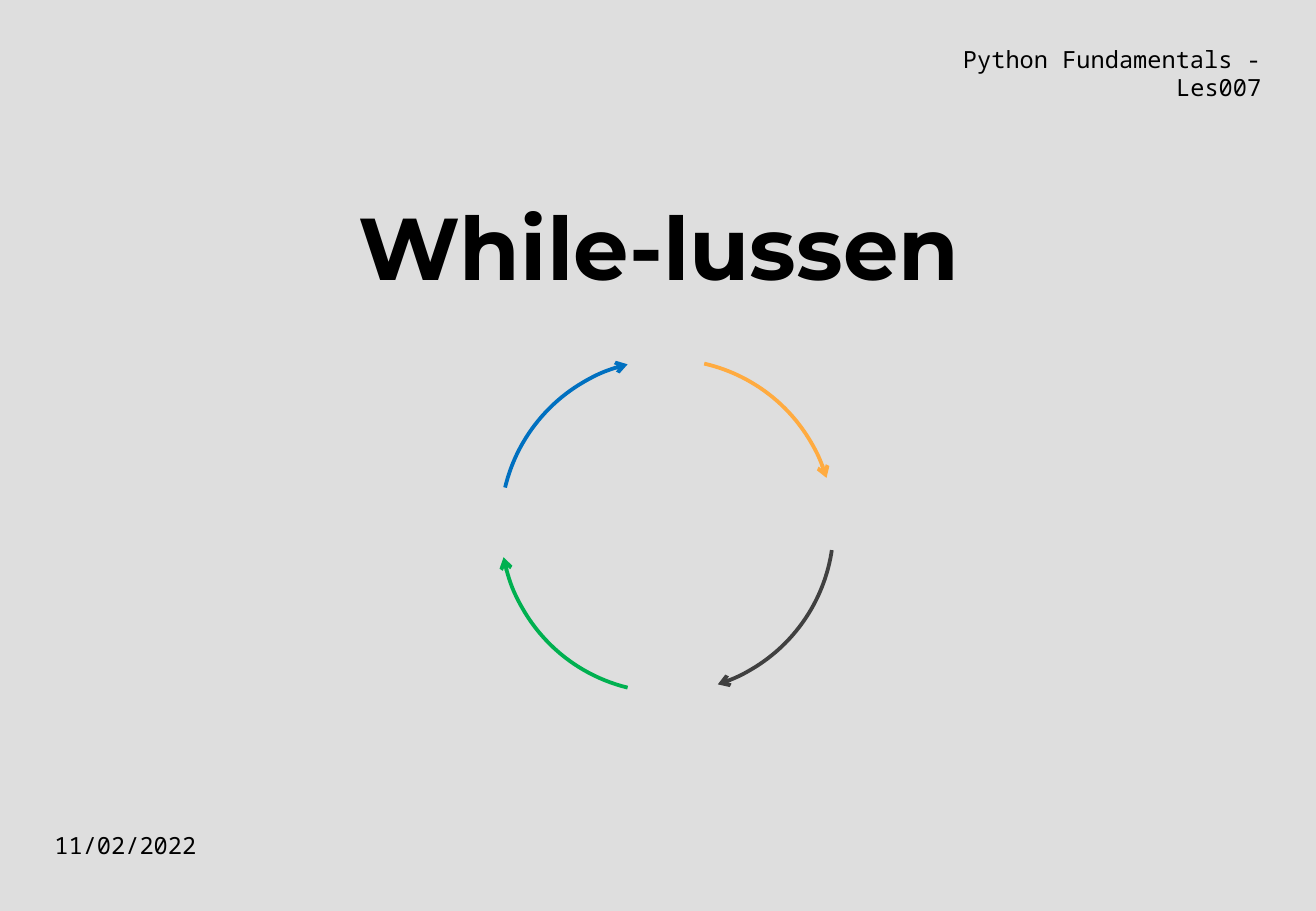
from dataclasses import dataclass

from lxml.etree import SubElement
from pptx import Presentation
from pptx.dml.color import RGBColor
from pptx.enum.shapes import MSO_SHAPE as Shape
from pptx.enum.text import MSO_ANCHOR as Anchor, PP_ALIGN as Align
from pptx.oxml.ns import qn
from pptx.slide import Slide
from pptx.util import Emu, Pt

EMU_PER_PX = 9144
ADJ_PER_DEGREE = 0.6
INSET = 10
RING_LEFT, RING_TOP, RING_SIZE = 412, 296, 274


@dataclass
class Label:
    text: str
    left: int
    top: int
    width: int
    height: int
    font: str
    size: int
    align: Align
    anchor: Anchor = Anchor.TOP
    bold: bool = False


@dataclass
class LoopArrow:
    color: str
    start: float
    end: float


LABELS = [
    Label("While-lussen", 76, 140, 932, 115, "Montserrat", 52,
          Align.CENTER, Anchor.BOTTOM, True),
    Label("Python Fundamentals - Les007", 705, 27, 343, 48, "Noto Sans Mono", 14, Align.RIGHT),
    Label("11/02/2022", 35, 674, 343, 48, "Noto Sans Mono", 14, Align.LEFT),
]

LOOP_ARROWS = [
    LoopArrow("FFAB40", 282.89, 343.25),
    LoopArrow("404040", 278.37, 342.26),
    LoopArrow("00B050", 283.72, 349.18),
    LoopArrow("0070C0", 283.35, 346.29),
]


def px(n: int) -> Emu:
    return Emu(n * EMU_PER_PX)


def rgb(color: str) -> RGBColor:
    return RGBColor.from_string(color)


def draw_label(s: Slide, label: Label) -> None:
    box = s.shapes.add_textbox(px(label.left), px(label.top), px(label.width), px(label.height))
    tf = box.text_frame
    tf.word_wrap = True
    tf.vertical_anchor = label.anchor
    tf.margin_left = tf.margin_right = tf.margin_top = tf.margin_bottom = px(INSET)
    tf.text = label.text
    p = tf.paragraphs[0]
    p.alignment = label.align
    r = p.runs[0]
    r.font.name = label.font
    r.font.size = Pt(label.size)
    r.font.bold = label.bold
    r.font.color.rgb = rgb("000000")


def draw_loop_arrow(s: Slide, arrow: LoopArrow, rotation: float) -> None:
    sp = s.shapes.add_shape(Shape.ARC, px(RING_LEFT), px(RING_TOP), px(RING_SIZE), px(RING_SIZE))
    sp.rotation = rotation
    sp.adjustments[0] = arrow.start * ADJ_PER_DEGREE
    sp.adjustments[1] = arrow.end * ADJ_PER_DEGREE
    sp.shadow.inherit = False
    sp.fill.background()
    sp.line.color.rgb = rgb(arrow.color)
    sp.line.width = Pt(2.25)
    SubElement(sp.line._get_or_add_ln(), qn("a:tailEnd"), type="arrow")


def main() -> None:
    prs = Presentation()
    prs.slide_width, prs.slide_height = px(1083), px(750)
    s = prs.slides.add_slide(prs.slide_layouts[6])
    s.background.fill.solid()
    s.background.fill.fore_color.rgb = rgb("DEDEDE")
    for label in LABELS:
        draw_label(s, label)
    for i, arrow in enumerate(LOOP_ARROWS):
        draw_loop_arrow(s, arrow, i * 360 / len(LOOP_ARROWS))
    prs.save("out.pptx")


if __name__ == "__main__":
    main()
